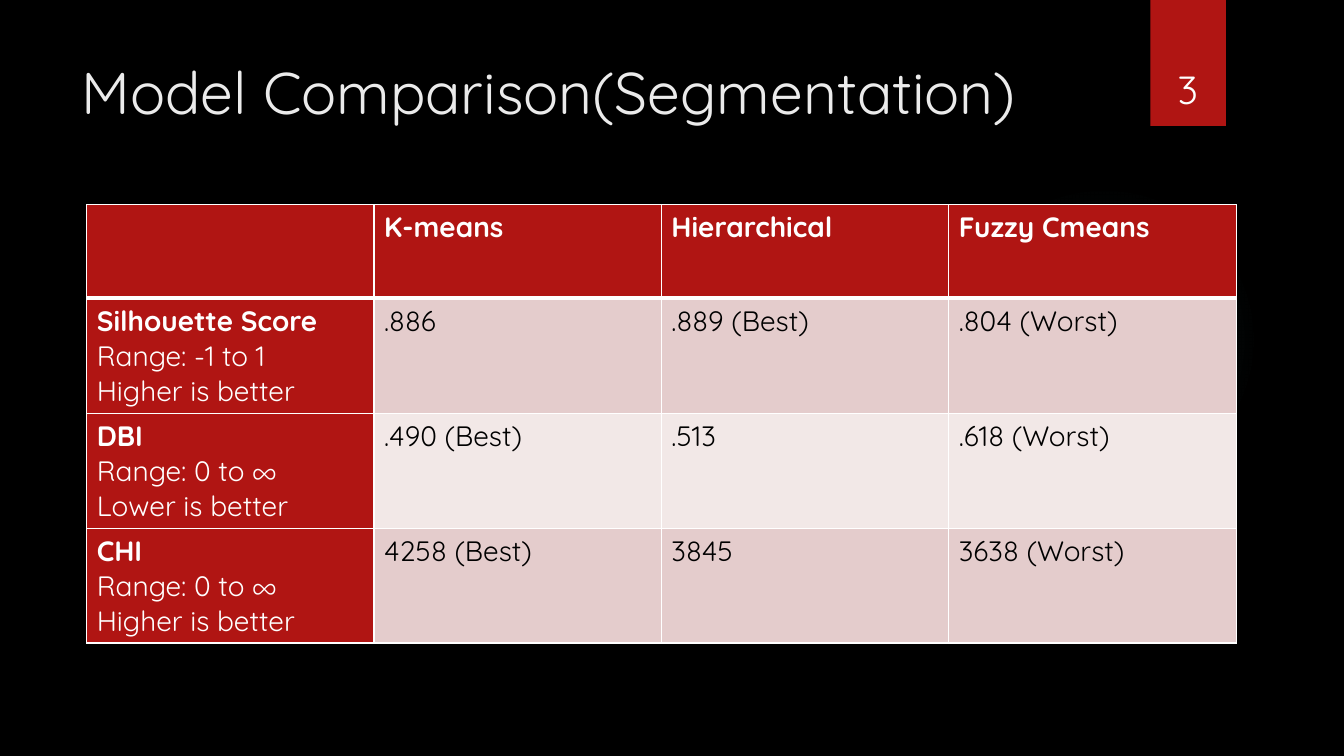
from dataclasses import dataclass

from lxml.etree import SubElement
from pptx import Presentation
from pptx.dml.color import RGBColor
from pptx.enum.shapes import MSO_SHAPE
from pptx.enum.text import MSO_ANCHOR, MSO_AUTO_SIZE, PP_ALIGN
from pptx.oxml import parse_xml
from pptx.oxml.ns import nsdecls, qn
from pptx.util import Inches, Pt


@dataclass(frozen=True)
class Theme:
    font: str = "Quicksand"
    back: str = "000000"
    red: str = "B01513"
    teal: str = "50B9C1"
    title: str = "EBEBEB"
    white: str = "FFFFFF"
    black: str = "000000"
    bands: tuple = ("E4CCCC", "F2E8E7")
    title_size: int = 42
    number_size: int = 28
    table_size: int = 20


theme = Theme()


def add_run(para, text, size, color, bold=False):
    run = para.add_run()
    run.text = text
    run.font.name = theme.font
    run.font.size = Pt(size)
    run.font.bold = bold
    run.font.color.rgb = RGBColor.from_string(color)


def add_border(cell, base):
    """Draw white cell edges, with the bottom one base points wide."""
    props = cell._tc.get_or_add_tcPr()
    for side, width in (("L", 1), ("R", 1), ("T", 1), ("B", base)):
        line = SubElement(props, qn(f"a:ln{side}"), w=str(Pt(width)))
        fill = SubElement(line, qn("a:solidFill"))
        SubElement(fill, qn("a:srgbClr"), val=theme.white)


deck = Presentation()
deck.slide_width = Inches(13.33)
deck.slide_height = Inches(7.5)
slide = deck.slides.add_slide(deck.slide_layouts[5])
slide.background.fill.solid()
slide.background.fill.fore_color.rgb = RGBColor.from_string(theme.back)

# Faint glow
glow = slide.shapes.add_shape(
    MSO_SHAPE.OVAL, Inches(9.41), Inches(1.83), Inches(3.08), Inches(3.08))
glow.shadow.inherit = False
glow.line.fill.background()
stops = "".join(
    f'<a:gs pos="{pos * 1000}"><a:srgbClr val="{theme.teal}">'
    f'<a:alpha val="{alpha * 1000}"/></a:srgbClr></a:gs>'
    for pos, alpha in ((0, 7), (36, 6), (69, 0), (100, 0)))
glow._element.spPr.find(qn("a:prstGeom")).addnext(parse_xml(
    f'<a:gradFill {nsdecls("a")}><a:gsLst>{stops}</a:gsLst><a:path path="circle">'
    '<a:fillToRect l="50000" t="50000" r="50000" b="50000"/></a:path></a:gradFill>'))

# Ribbon and slide number
ribbon = slide.shapes.add_shape(
    MSO_SHAPE.RECTANGLE, Inches(11.41), 0, Inches(0.75), Inches(1.25))
ribbon.shadow.inherit = False
ribbon.fill.solid()
ribbon.fill.fore_color.rgb = RGBColor.from_string(theme.red)
ribbon.line.fill.background()

number = slide.shapes.add_textbox(
    Inches(11.32), Inches(0.32), Inches(0.92), Inches(0.84)).text_frame
number.word_wrap = True
number.vertical_anchor = MSO_ANCHOR.BOTTOM
number.paragraphs[0].alignment = PP_ALIGN.CENTER
add_run(number.paragraphs[0], "3", theme.number_size, theme.white)

# Title
title = slide.shapes.title
title.left, title.top = Inches(0.71), Inches(0.5)
title.width, title.height = Inches(10.29), Inches(1.53)
frame = title.text_frame
frame.word_wrap = True
frame.auto_size = MSO_AUTO_SIZE.NONE
frame.vertical_anchor = MSO_ANCHOR.TOP
frame.paragraphs[0].alignment = PP_ALIGN.LEFT
add_run(frame.paragraphs[0], "Model Comparison(Segmentation)",
        theme.title_size, theme.title)

# Score table: each cell is a list of lines
rows = [
    [[], ["K-means"], ["Hierarchical"], ["Fuzzy Cmeans"]],
    [["Silhouette Score", "Range: -1 to 1", "Higher is better"],
     [".886"], [".889 (Best)"], [".804 (Worst)"]],
    [["DBI", "Range: 0 to ∞", "Lower is better"],
     [".490 (Best)"], [".513"], [".618 (Worst)"]],
    [["CHI", "Range: 0 to ∞", "Higher is better"],
     ["4258 (Best)"], ["3845"], ["3638 (Worst)"]],
]
table = slide.shapes.add_table(
    len(rows), len(rows[0]), Inches(0.86), Inches(2.03),
    Inches(11.4), Inches(4.35)).table
for col in table.columns:
    col.width = Inches(2.85)

for r, row in enumerate(rows):
    table.rows[r].height = Inches(1.14 if r else 0.93)
    for c, lines in enumerate(row):
        cell = table.cell(r, c)
        head = r == 0 or c == 0
        add_border(cell, 1 if r else 3)
        cell.fill.solid()
        cell.fill.fore_color.rgb = RGBColor.from_string(
            theme.red if head else theme.bands[(r - 1) % 2])
        for n, line in enumerate(lines):
            text = cell.text_frame
            para = text.add_paragraph() if n else text.paragraphs[0]
            add_run(para, line, theme.table_size,
                    theme.white if head else theme.black, head and n == 0)

deck.save("out.pptx")
